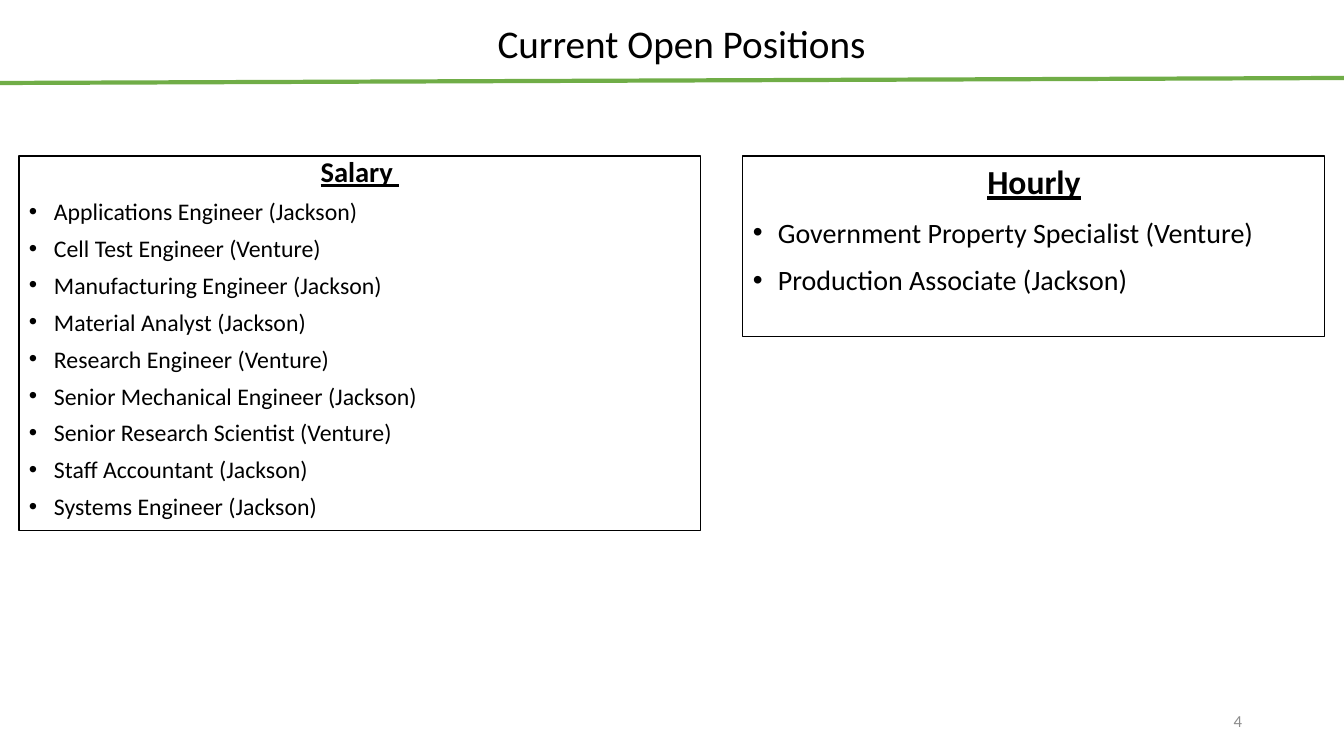
"""Build the slide of current open positions."""
from lxml.etree import SubElement
from pptx import Presentation
from pptx.dml.color import RGBColor
from pptx.enum.shapes import MSO_CONNECTOR, MSO_SHAPE
from pptx.enum.text import MSO_ANCHOR, PP_ALIGN
from pptx.oxml.ns import qn
from pptx.util import Pt

PX = 914400 / 100.8


def px(*sizes):
    return [round(size * PX) for size in sizes]


def style(para, size, color, align):
    para.alignment = align
    for run in para.runs:
        run.font.name = "Calibri"
        run.font.size = Pt(size)
        run.font.color.rgb = RGBColor.from_string(color)


deck = Presentation()
deck.slide_width, deck.slide_height = px(1344, 756)
slide = deck.slides.add_slide(deck.slide_layouts[6])
shapes = slide.shapes

rule = shapes.add_connector(MSO_CONNECTOR.STRAIGHT, *px(0, 83, 1344, 78))
rule.line.color.rgb = RGBColor.from_string("70AD47")
rule.line.width = Pt(3)
SubElement(rule._element.spPr, qn("a:effectLst"))

labels = [
    ("Current Open Positions ", (81, -8, 1210, 101), 28, "000000", PP_ALIGN.CENTER),
    ("4", (950, 701, 302, 40), 12, "8C8C8C", PP_ALIGN.RIGHT),
]
for text, place, size, color, align in labels:
    frame = shapes.add_textbox(*px(*place)).text_frame
    frame.word_wrap = True
    frame.vertical_anchor = MSO_ANCHOR.MIDDLE
    frame.text = text
    style(frame.paragraphs[0], size, color, align)

salary = [
    "Applications Engineer (Jackson)",
    "Cell Test Engineer (Venture)",
    "Manufacturing Engineer (Jackson)",
    "Material Analyst (Jackson)",
    "Research Engineer (Venture)",
    "Senior Mechanical Engineer (Jackson)",
    "Senior Research Scientist (Venture)",
    "Staff Accountant (Jackson)",
    "Systems Engineer (Jackson)",
]
hourly = [
    "Government Property Specialist (Venture)",
    "Production Associate (Jackson)",
]
panels = [
    ("Salary ", salary, (19, 156, 682, 375), 20.4, 17, 0.8),
    ("Hourly", hourly, (743, 156, 582, 181), 24, 20, 1.0),
]
for title, jobs, place, big, small, lead in panels:
    box = shapes.add_shape(MSO_SHAPE.RECTANGLE, *px(*place))
    box.shadow.inherit = False
    box.fill.background()
    box.line.color.rgb = RGBColor.from_string("000000")
    box.line.width = Pt(0.75)
    frame = box.text_frame
    frame.word_wrap = True
    frame.vertical_anchor = MSO_ANCHOR.TOP
    frame.text = title
    head = frame.paragraphs[0]
    head.line_spacing = lead
    style(head, big, "000000", PP_ALIGN.CENTER)
    head.runs[0].font.bold = True
    head.runs[0].font.underline = True
    indent = px(25)[0]
    for job in jobs:
        para = frame.add_paragraph()
        para.text = job
        para.line_spacing = lead
        para.space_before = Pt(10)
        props = para._p.get_or_add_pPr()
        props.set("marL", str(indent))
        props.set("indent", str(-indent))
        SubElement(props, qn("a:buFont")).set("typeface", "Arial")
        SubElement(props, qn("a:buChar")).set("char", "•")
        style(para, small, "000000", PP_ALIGN.LEFT)

deck.save("out.pptx")
